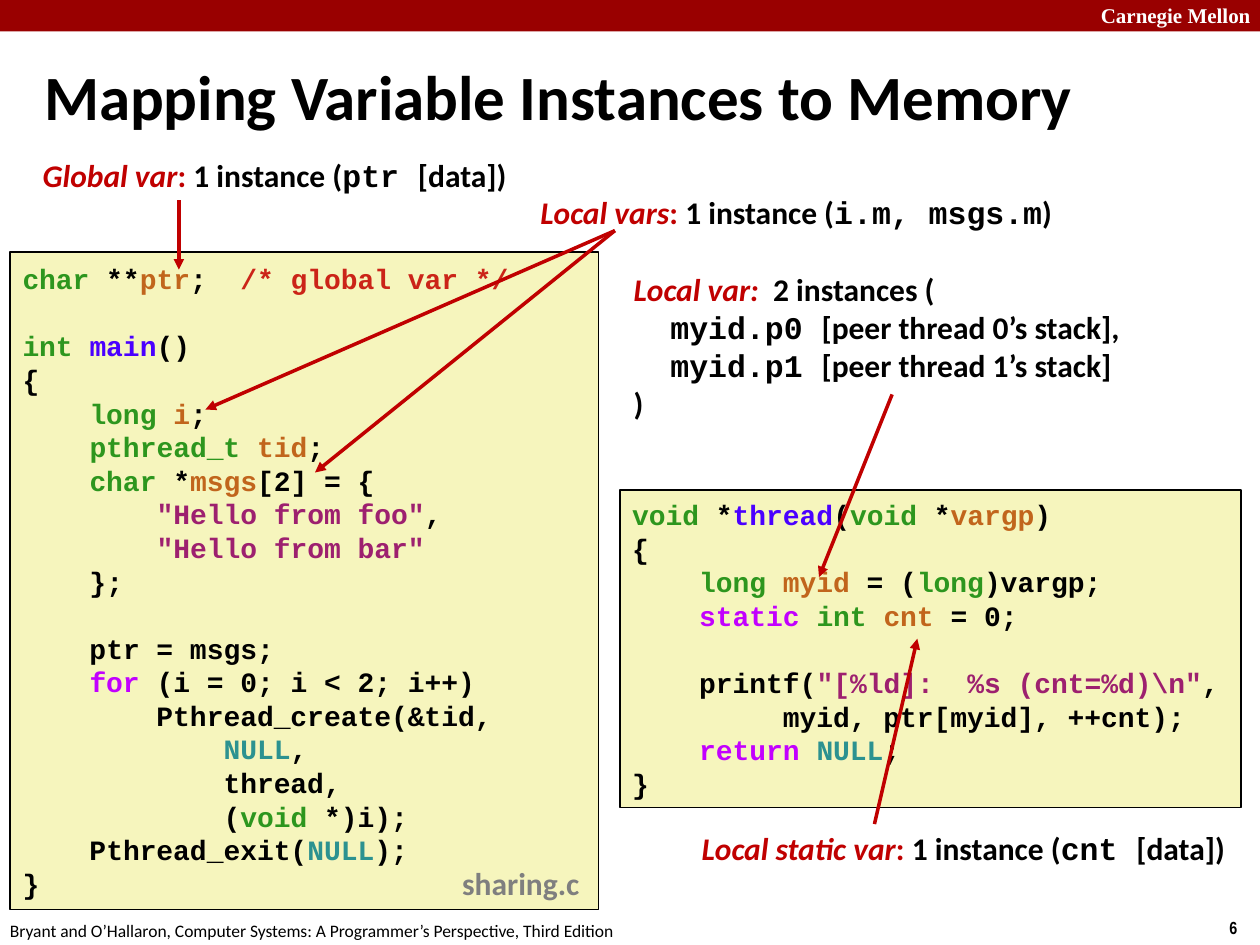
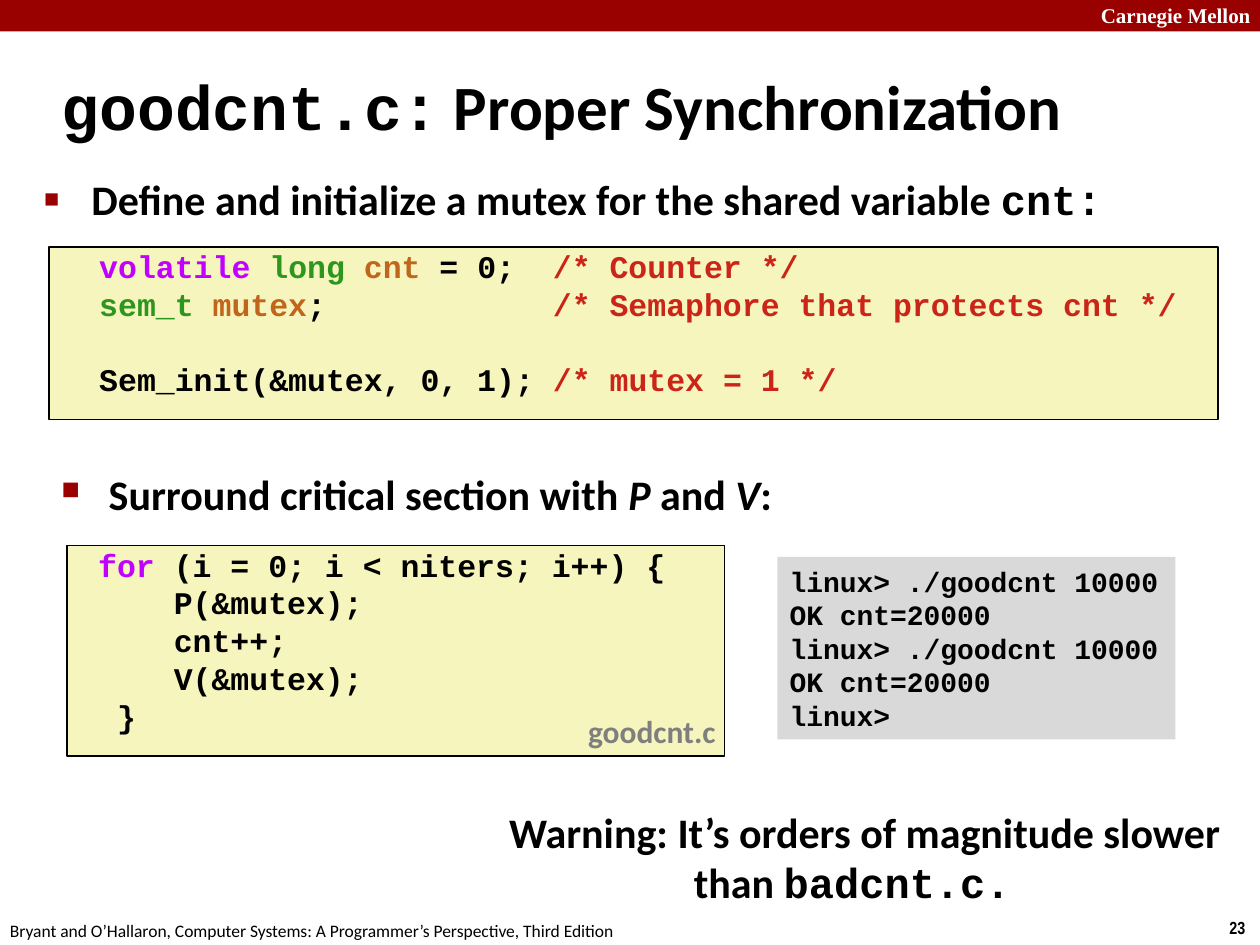
from dataclasses import dataclass

from lxml import etree
from pptx import Presentation
from pptx.dml.color import RGBColor as Rgb
from pptx.enum.shapes import MSO_CONNECTOR as Link, MSO_SHAPE as Kind
from pptx.enum.text import MSO_ANCHOR as Anchor, MSO_AUTO_SIZE as Fit, PP_ALIGN as Align
from pptx.oxml.ns import qn
from pptx.util import Pt


@dataclass(frozen=True)
class Theme:
    ink: str = "000000"
    white: str = "FFFFFF"
    band: str = "990000"
    accent: str = "C00000"
    paper: str = "F6F5BD"
    shell: str = "D9D9D9"
    grey: str = "7F7F7F"
    sans: str = "Calibri"
    mono: str = "Courier New"
    serif: str = "Times New Roman"
    narrow: str = "Arial Narrow"
    title: int = 36
    body: int = 24
    label: int = 18
    code: int = 16
    name: int = 12
    foot: int = 10
    leading: float = 1.2


T = Theme()

# Marked text: §x...§ gives the enclosed words the style named by letter x.
STYLES = {
    "t": {"color": "2D961E"},  # type
    "v": {"color": "C1651C"},  # variable
    "c": {"color": "CB2418"},  # comment
    "f": {"color": "4A00FF"},  # function
    "k": {"color": "C200FF"},  # keyword
    "s": {"color": "9D206F"},  # string
    "n": {"color": "2C9290"},  # constant
    "m": {"font": T.mono},
    "i": {"italic": True},
    "a": {"color": T.accent},
    "e": {"color": T.accent, "italic": True},
}

MAIN = """§tchar§ **§vptr§;  §c/* global var */§

§tint §§fmain§()
{
    §tlong §§vi§;
    §tpthread_t §§vtid§;
    §tchar§ *§vmsgs§[2] = {
        §s"Hello from foo"§,
        §s"Hello from bar"§
    };

    ptr = msgs;
    §kfor§ (i = 0; i < 2; i++)
        Pthread_create(&tid,
            §nNULL§,
            thread,
            (§tvoid§ *)i);
    Pthread_exit(§nNULL§);
}"""

THREAD = """§tvoid§ *§fthread§(§tvoid§ *§vvargp§)
{
    §tlong §§vmyid§ = (§tlong§)vargp;
    §kstatic §§tint §§vcnt§ = 0;

    printf(§s"[%ld]:  %s (cnt=%d)\\n"§,
         myid, ptr[myid], ++cnt);
    §kreturn §§nNULL§;
}"""

MUTEX = """  §kvolatile §§tlong §§vcnt§ = 0;  §c/* Counter */§
  §tsem_t §§vmutex§;            §c/* Semaphore that protects cnt */§

  Sem_init(&mutex, 0, 1); §c/* mutex = 1 */§"""

LOOP = """ §kfor§ (i = 0; i < niters; i++) {
     P(&mutex);
     cnt++;
     V(&mutex);
  }"""

SHELL = """linux> ./goodcnt 10000
OK cnt=20000
linux> ./goodcnt 10000
OK cnt=20000
linux>"""


def paint(font, color=None, name=None, size=None, bold=None, italic=None):
    if color:
        font.color.rgb = Rgb.from_string(color)
    if name:
        font.name = name
    if size:
        font.size = Pt(size)
    if bold is not None:
        font.bold = bold
    if italic:
        font.italic = True


def add_run(para, text, color=None, font=None, italic=None):
    run = para.add_run()
    run.text = text
    paint(run.font, color, font, italic=italic)


def write(para, text, size, font=T.sans, color=T.ink, bold=True):
    """Fill a paragraph with marked text."""
    paint(para.font, color, font, size, bold)
    for n, part in enumerate(text.split("§")):
        if part and n % 2:
            add_run(para, part[1:], **STYLES[part[0]])
        elif part:
            add_run(para, part)


def set_frame(shape, anchor=Anchor.TOP, wrap=True, pad=3.6):
    frame = shape.text_frame
    frame.auto_size = Fit.NONE
    frame.word_wrap = wrap
    frame.vertical_anchor = anchor
    frame.margin_left = frame.margin_right = Pt(7.2)
    frame.margin_top = frame.margin_bottom = Pt(pad)
    return frame


def place(shape, box):
    shape.left, shape.top, shape.width, shape.height = map(Pt, box)


def hang(para, left):
    props = para._p.get_or_add_pPr()
    props.set("marL", str(Pt(left)))
    props.set("indent", str(Pt(-left)))
    return props


def add_text(slide, box, text, size, align=Align.LEFT, anchor=Anchor.TOP,
             wrap=False, pad=3.6, **look):
    shape = slide.shapes.add_textbox(*map(Pt, box))
    para = set_frame(shape, anchor, wrap, pad).paragraphs[0]
    para.alignment = align
    write(para, text, size, **look)
    return shape


def add_label(slide, box, text, align=Align.CENTER):
    return add_text(slide, box, text, T.label, align, Anchor.MIDDLE, pad=0)


def add_panel(slide, box, fill, line=None):
    shape = slide.shapes.add_shape(Kind.RECTANGLE, *map(Pt, box))
    shape.shadow.inherit = False
    shape.fill.solid()
    shape.fill.fore_color.rgb = Rgb.from_string(fill)
    if line:
        shape.line.color.rgb = Rgb.from_string(line)
        shape.line.width = Pt(1)
    else:
        shape.line.fill.background()
    return shape


def add_code(slide, box, code, size=T.code, fill=T.paper, line=T.ink,
             anchor=Anchor.MIDDLE, pad=3.6):
    """Draw a listing; an empty line becomes space before the next one."""
    frame = set_frame(add_panel(slide, box, fill, line), anchor, pad=pad)
    para, gap = frame.paragraphs[0], 0
    for n, row in enumerate(code.split("\n")):
        if not row:
            gap += size * T.leading
            continue
        if n:
            para = frame.add_paragraph()
        para.alignment = Align.LEFT
        if gap:
            para.space_before, gap = Pt(gap), 0
        write(para, row, size, T.mono)


def add_arrow(slide, start, end):
    line = slide.shapes.add_connector(Link.STRAIGHT, *map(Pt, start + end))
    line.line.color.rgb = Rgb.from_string(T.accent)
    line.line.width = Pt(2)
    props = line._element.spPr
    etree.SubElement(props.find(qn("a:ln")), qn("a:tailEnd"), type="triangle")
    etree.SubElement(props, qn("a:effectLst"))


def set_title(slide, box, text):
    place(slide.shapes.title, box)
    para = set_frame(slide.shapes.title, Anchor.MIDDLE).paragraphs[0]
    para.alignment = Align.LEFT
    hang(para, 9)
    write(para, text, T.title)


def set_bullet(shape, text):
    para = set_frame(shape).paragraphs[0]
    para.space_before = Pt(0)
    props = hang(para, 27)
    tint = etree.SubElement(props, qn("a:buClr"))
    etree.SubElement(tint, qn("a:srgbClr"), val=T.band)
    etree.SubElement(props, qn("a:buSzPct"), val="60000")
    etree.SubElement(props, qn("a:buChar"), char="■")
    write(para, text, T.body)


def add_slide(deck, layout, page):
    """Add a slide with the band, the footer and the page number."""
    slide = deck.slides.add_slide(deck.slide_layouts[layout])
    add_panel(slide, (0, 0, 720, 18), T.band)
    add_text(slide, (622, -2.2, 103, 21.6), "Carnegie Mellon", T.name,
             font=T.serif, color=T.white)
    add_text(slide, (695.5, 520.6, 24.5, 19.4), page, T.foot, font=T.narrow)
    add_text(slide, (-1.4, 522, 365.8, 19.4),
             "Bryant and O’Hallaron, Computer Systems: "
             "A Programmer’s Perspective, Third Edition", T.foot, bold=False)
    return slide


def build_map(deck):
    slide = add_slide(deck, 5, "6")
    set_title(slide, (18, 23.8, 706.3, 61.2), "Mapping Variable Instances to Memory")
    add_code(slide, (5.8, 144, 336.2, 375.8), MAIN)
    add_code(slide, (354.2, 280.1, 355, 181.4), THREAD)
    add_text(slide, (257, 490.3, 82, 28.8), "sharing.c", T.label, color=T.grey)

    add_label(slide, (15.8, 89.3, 282.2, 21.6),
              "§eGlobal var§§a: §1 instance (§mptr §[data])")
    add_label(slide, (391.7, 473.8, 317.5, 21.6),
              "§eLocal static var§§a: §1 instance (§mcnt §[data])")
    add_label(slide, (300.2, 110.2, 309.6, 21.6),
              "§eLocal vars§§a: §1 instance (§mi.m, msgs.m§)")
    local = add_label(slide, (355, 154.1, 304.6, 87.1),
                      "§eLocal var:  §2 instances (", Align.LEFT).text_frame
    for n in range(2):
        para = local.add_paragraph()
        para._p.get_or_add_pPr().set("marL", str(Pt(21)))
        write(para, f"§mmyid.p{n} §[peer thread {n}’s stack]" + ("" if n else ","), T.label)
    write(local.add_paragraph(), ")", T.label)

    fork = (351.4, 131.8)
    for start, end in (
        ((102.2, 114.5), (102.2, 154.1)),
        (fork, (117.4, 234)),
        (fork, (180, 270)),
        ((509.8, 225.4), (468, 329.8)),
        ((499.7, 470.9), (524.2, 365)),
    ):
        add_arrow(slide, start, end)


def build_sync(deck):
    slide = add_slide(deck, 1, "23")
    set_title(slide, (28, 30.2, 597.6, 59.8), "§mgoodcnt.c:§ Proper Synchronization")
    body = slide.placeholders[1]
    place(body, (18, 95.8, 654.5, 36))
    set_bullet(body, "Define and initialize a mutex for the shared variable §mcnt:§")
    add_code(slide, (28, 141.1, 668.2, 98.6), MUTEX, T.label, anchor=Anchor.TOP, pad=0)
    step = slide.shapes.add_textbox(*map(Pt, (28, 264.2, 654.5, 36)))
    set_bullet(step, "Surround critical section with §iP§ and §iV§:")
    add_code(slide, (38.2, 311.8, 375.8, 120.2), LOOP, T.label, anchor=Anchor.TOP, pad=0)
    add_code(slide, (444.2, 318.2, 227.5, 104.4), SHELL, fill=T.shell, line=None)
    add_text(slide, (282.2, 457.2, 424, 65.5),
             "Warning: It’s orders of magnitude slower than §mbadcnt.c. §",
             T.body, Align.CENTER, wrap=True)
    add_text(slide, (329, 403.2, 88.6, 28.8), "goodcnt.c", T.label, color=T.grey)


def main():
    deck = Presentation()
    deck.slide_width, deck.slide_height = Pt(720), Pt(540)
    build_map(deck)
    build_sync(deck)
    deck.save("out.pptx")


if __name__ == "__main__":
    main()
